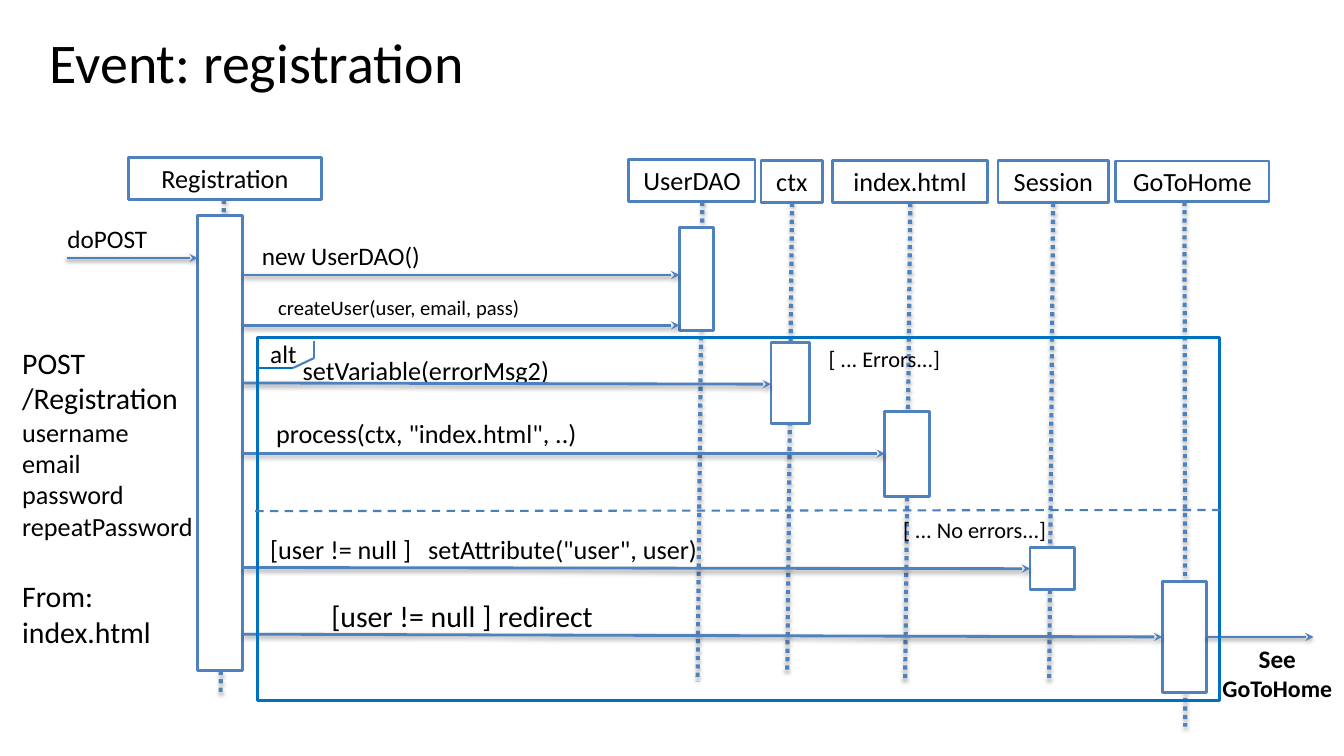
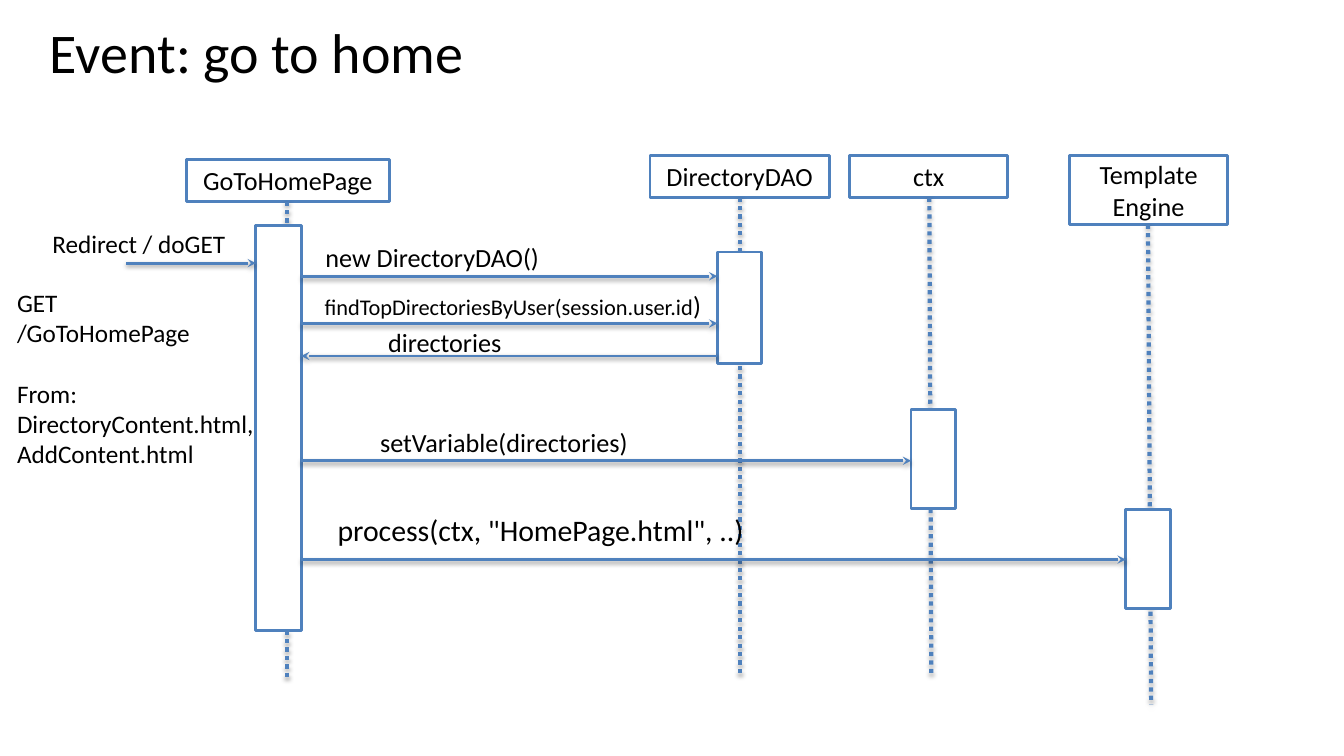
"""Builds two sequence diagrams for the registration and home page events."""
from typing import NamedTuple

from lxml import etree
from pptx import Presentation
from pptx.dml.color import RGBColor
from pptx.enum.dml import MSO_LINE
from pptx.enum.shapes import MSO_CONNECTOR, MSO_SHAPE
from pptx.enum.text import MSO_ANCHOR, MSO_AUTO_SIZE, PP_ALIGN
from pptx.oxml import parse_xml
from pptx.oxml.ns import nsdecls, qn
from pptx.util import Cm, Pt

BLUE = RGBColor(0x4F, 0x81, 0xBD)
FRAME_BLUE = RGBColor(0x00, 0x70, 0xC0)
DIVIDER_BLUE = RGBColor(0x4B, 0x7E, 0xBC)
BLACK = RGBColor(0, 0, 0)
WHITE = RGBColor(0xFF, 0xFF, 0xFF)
FONT = "Calibri"
HEAD_SIZE = 18.7
LEFT, CENTER = PP_ALIGN.LEFT, PP_ALIGN.CENTER


class Participant(NamedTuple):
    """A head box, its lifeline (top x, bottom x, bottom y) and activation bar."""
    name: str
    head: tuple
    lifeline: tuple
    bar: tuple


class Label(NamedTuple):
    """Paragraphs of (text, size) spans; gap is the space before the last one."""
    paragraphs: list
    bounds: tuple
    align: PP_ALIGN = LEFT
    bold: bool = False
    gap: float = 0


def line_label(text, size, bounds, align=LEFT):
    """Describe a label of a single run."""
    return Label([[(text, size)]], bounds, align)


REGISTRATION = {
    "title": ("Event: registration", (0.36, 0.51, 12.22, 2.08)),
    "participants": [
        Participant("Registration", (3.23, 3.96, 4.88, 1.07), (5.64, 5.56, 17.5), (4.98, 5.44, 1.14, 11.46)),
        Participant("UserDAO", (15.85, 4.01, 3.18, 1.07), (17.7, 17.58, 17.17), (17.12, 5.74, 0.86, 2.59)),
        Participant("ctx", (19.18, 4.04, 1.55, 1.07), (19.96, 19.84, 16.94), (19.43, 8.64, 0.97, 2.03)),
        Participant("index.html", (20.98, 4.04, 3.91, 1.07), (22.94, 22.81, 17.17), (22.3, 10.36, 1.12, 2.16)),
        Participant("Session", (25.15, 4.04, 2.79, 1.07), (26.54, 26.44, 17.17), (25.96, 13.79, 1.12, 1.07)),
        Participant("GoToHome", (28.12, 4.06, 3.86, 1.02), (29.85, 29.87, 18.31), (29.29, 14.66, 1.12, 2.79)),
    ],
    "messages": [
        (1.68, "Registration", 6.5, 6.5),
        ("Registration", "UserDAO", 6.93, 6.93),
        ("Registration", "UserDAO", 8.2, 8.2),
        ("Registration", "ctx", 9.65, 9.68),
        ("Registration", "index.html", 11.43, 11.43),
        ("Registration", "Session", 14.3, 14.33),
        ("Registration", "GoToHome", 15.98, 16.05),
        ("GoToHome", 33.1, 16.05, 16.05),
    ],
    "labels": [
        line_label("doPOST", 18, (1.37, 5.46, 3.4, 1.02)),
        line_label("new UserDAO()", 18, (6.27, 5.89, 6.38, 0.86)),
        line_label("createUser(user, email, pass)", 14.7, (6.68, 7.26, 11.23, 0.86)),
        line_label("setVariable(errorMsg2)", 18.7, (6.81, 8.76, 7.85, 0.94), CENTER),
        line_label('process(ctx, "index.html", ..)', 18.7, (6.63, 10.34, 8.9, 1.07)),
        line_label("[user != null ]", 18.7, (6.48, 13.26, 4.5, 1.02)),
        line_label('setAttribute("user", user)', 18.7, (10.46, 13.26, 7.6, 1.02)),
        line_label("[user != null ] redirect", 21.3, (6.35, 14.88, 10.59, 0.94), CENTER),
        line_label("alt", 18, (6.48, 8.36, 1.8, 1.02)),
        line_label("[ ... Errors...]", 16, (20.55, 8.53, 4.8, 0.94)),
        line_label("[ ... No errors...]", 16, (22.43, 12.83, 4.8, 0.94)),
        Label([[("See ", 18), ("GoToHome", 17)]], (30.4, 16.05, 3.58, 2.13), CENTER, bold=True),
        Label(
            [[("POST", 21.3)], [("/Registration", 21.3)], [("username", 18.7)], [("email", 18.7)],
             [("password", 18.7)], [("repeatPassword", 18.7)], [("From: index.html", 21.3)]],
            (0.23, 8.51, 5.03, 7.8), gap=26),
    ],
}

HOME = {
    "title": ("Event: go to home", (0.41, 0.56, 12.12, 1.47)),
    "participants": [
        Participant("GoToHomePage", (4.7, 4.01, 5.11, 1.07), (7.24, 7.24, 17.15), (6.45, 5.69, 1.14, 10.19)),
        Participant("DirectoryDAO", (16.38, 3.91, 4.52, 1.07), (18.64, 18.64, 17.04), (18.08, 6.35, 1.12, 2.82)),
        Participant("ctx", (21.41, 3.91, 3.99, 1.07), (23.42, 23.47, 17.04), (22.96, 10.31, 1.12, 2.51)),
        Participant("Template Engine", (26.95, 3.91, 3.99, 1.75), (28.93, 29.01, 17.75), (28.37, 12.83, 1.12, 2.51)),
    ],
    "messages": [
        (3.18, "GoToHomePage", 6.63, 6.63),
        ("GoToHomePage", "DirectoryDAO", 6.96, 6.96),
        ("GoToHomePage", "DirectoryDAO", 8.15, 8.15),
        ("DirectoryDAO", "GoToHomePage", 8.97, 8.97),
        ("GoToHomePage", "ctx", 11.61, 11.61),
        ("GoToHomePage", "Template Engine", 14.1, 14.1),
    ],
    "labels": [
        line_label("Redirect / doGET", 18, (0.99, 5.59, 5.31, 1.02)),
        line_label("new DirectoryDAO()", 18.7, (7.87, 5.92, 9.86, 0.86)),
        Label([[("findTopDirectoriesByUser(session.user.id", 16), (")", 18.7)]], (7.85, 7.11, 10.34, 0.86)),
        line_label("directories", 18.7, (9.45, 8.05, 3.73, 1.04)),
        line_label("setVariable(directories)", 18.7, (9.12, 10.57, 7.16, 0.89), CENTER),
        line_label('process(ctx, "HomePage.html", ..)', 21.3, (8.05, 12.73, 11.15, 1.22), CENTER),
        Label(
            [[("GET", 18)], [("/GoToHomePage", 18)],
             [("From: DirectoryContent.html, AddContent.html", 18)]],
            (0.1, 7.06, 6.73, 4.78), gap=22),
    ],
}

ALT_FRAME = (6.48, 8.51, 24.26, 9.14)
ALT_TAB = [(6.45, 9.27), (7.39, 9.27), (7.92, 9.02), (7.92, 8.59)]
ALT_DIVIDER = [(6.43, 12.88), (30.81, 12.85)]


def lengths(values):
    """Turn numbers into centimetre lengths."""
    return [Cm(value) for value in values]


def set_frame(frame, anchor):
    """Give a text frame the shared wrapping and margins."""
    frame.word_wrap = True
    frame.auto_size = MSO_AUTO_SIZE.NONE
    frame.vertical_anchor = anchor
    frame.margin_left = frame.margin_right = Cm(0.33)
    frame.margin_top = frame.margin_bottom = Cm(0.17)


def set_font(font, size):
    """Apply the shared typeface and colour."""
    font.name, font.size = FONT, Pt(size)
    font.color.rgb = BLACK


def add_title(page, text, bounds):
    """Place and format the title placeholder."""
    title = page.shapes.title
    title.left, title.top, title.width, title.height = lengths(bounds)
    title.text_frame.text = text
    set_frame(title.text_frame, MSO_ANCHOR.MIDDLE)
    para = title.text_frame.paragraphs[0]
    para.alignment = CENTER
    set_font(para.font, 40)


def add_box(page, bounds, text="", fill=WHITE, line=BLUE):
    """Add an outlined rectangle, with centred text if any."""
    box = page.shapes.add_shape(MSO_SHAPE.RECTANGLE, *lengths(bounds))
    box.shadow.inherit = False
    if fill is None:
        box.fill.background()
    else:
        box.fill.solid()
        box.fill.fore_color.rgb = fill
    box.line.color.rgb, box.line.width = line, Pt(2)
    if text:
        set_frame(box.text_frame, MSO_ANCHOR.MIDDLE)
        box.text_frame.text = text
        para = box.text_frame.paragraphs[0]
        para.alignment = CENTER
        set_font(para.font, HEAD_SIZE)


def add_line(page, start, end, color=BLUE, width=1.5, dash=None, arrow=False, shadow=0):
    """Add a straight line; shadow is its opacity in percent."""
    line = page.shapes.add_connector(MSO_CONNECTOR.STRAIGHT, *lengths(start + end))
    line.line.color.rgb, line.line.width = color, Pt(width)
    if dash:
        line.line.dash_style = dash
    properties = line._element.spPr
    if arrow:
        etree.SubElement(properties.find(qn("a:ln")), qn("a:tailEnd"), type="stealth")
    cast = (
        f'<a:outerShdw blurRad="{Pt(3.1)}" dist="{Pt(1.7)}" dir="5400000" rotWithShape="0">'
        f'<a:srgbClr val="{BLACK}"><a:alpha val="{shadow * 1000}"/></a:srgbClr></a:outerShdw>'
    ) if shadow else ""
    properties.append(parse_xml(f'<a:effectLst {nsdecls("a")}>{cast}</a:effectLst>'))


def add_label(page, label):
    """Add a text box with its paragraphs."""
    frame = page.shapes.add_textbox(*lengths(label.bounds)).text_frame
    set_frame(frame, MSO_ANCHOR.TOP)
    for index, spans in enumerate(label.paragraphs):
        para = frame.add_paragraph() if index else frame.paragraphs[0]
        para.alignment = label.align
        set_font(para.font, spans[0][1])
        para.font.bold = label.bold
        for text, size in spans:
            span = para.add_run()
            span.text = text
            if size != spans[0][1]:
                span.font.size = Pt(size)
    if label.gap:
        para.space_before = Pt(label.gap)


def message_ends(source, target, bars):
    """Return the x of both ends, on the facing edges of the bars."""
    spans = [
        (bars[end][0], bars[end][0] + bars[end][2]) if end in bars else (end, end)
        for end in (source, target)
    ]
    (source_left, source_right), (target_left, target_right) = spans
    if source_left < target_left:
        return source_right, target_left
    return source_left, target_right


def add_diagram(deck, diagram):
    """Add a slide with a title and a sequence diagram."""
    page = deck.slides.add_slide(deck.slide_layouts[5])
    add_title(page, *diagram["title"])
    for person in diagram["participants"]:
        top_x, bottom_x, bottom = person.lifeline
        add_box(page, person.head, person.name)
        add_line(page, (top_x, person.head[1] + person.head[3]), (bottom_x, bottom),
                 width=3, dash=MSO_LINE.ROUND_DOT, shadow=35)
        add_box(page, person.bar)
    for label in diagram["labels"]:
        add_label(page, label)
    bars = {person.name: person.bar for person in diagram["participants"]}
    for source, target, start_y, end_y in diagram["messages"]:
        start_x, end_x = message_ends(source, target, bars)
        add_line(page, (start_x, start_y), (end_x, end_y), width=2, arrow=True, shadow=38)
    return page


def add_alternative(page):
    """Add the alt frame with its corner tab and divider."""
    add_box(page, ALT_FRAME, fill=None, line=FRAME_BLUE)
    colors = [FRAME_BLUE, DIVIDER_BLUE, DIVIDER_BLUE]
    for start, end, color in zip(ALT_TAB, ALT_TAB[1:], colors):
        add_line(page, start, end, color)
    add_line(page, *ALT_DIVIDER, DIVIDER_BLUE, dash=MSO_LINE.DASH)


def main():
    """Build and save the deck."""
    deck = Presentation()
    deck.slide_width, deck.slide_height = Cm(33.87), Cm(19.05)
    add_alternative(add_diagram(deck, REGISTRATION))
    add_diagram(deck, HOME)
    deck.save("out.pptx")


if __name__ == "__main__":
    main()
